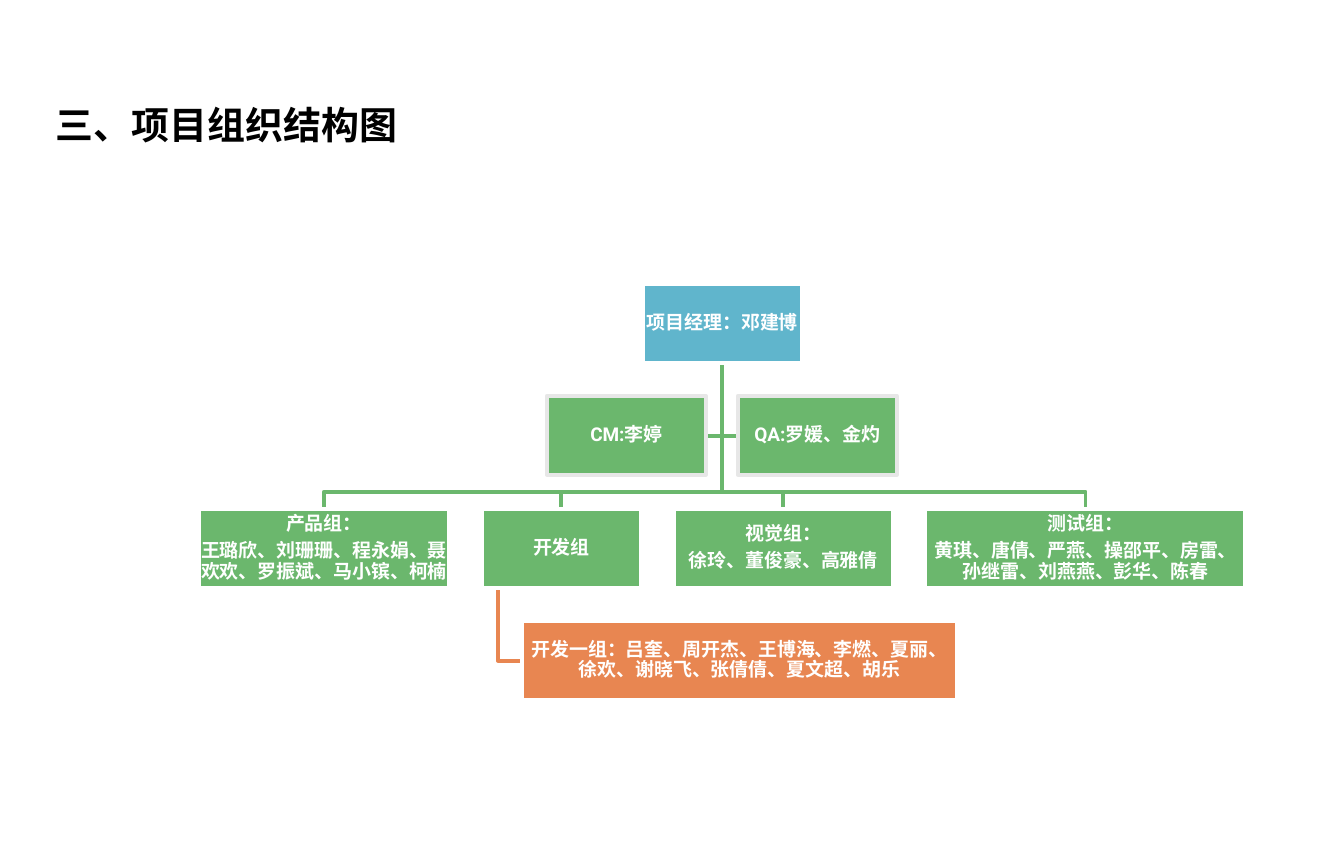
from lxml.etree import SubElement
from pptx import Presentation
from pptx.dml.color import RGBColor
from pptx.enum.shapes import MSO_SHAPE
from pptx.enum.text import MSO_ANCHOR, MSO_AUTO_SIZE, PP_ALIGN
from pptx.oxml.ns import qn
from pptx.util import Cm, Pt

PX = 6694  # EMU per px
BLUE, GREEN, ORANGE = "60B5CC", "6BB76D", "E88651"
WHITE, GREY, BLACK = "FFFFFF", "E7E7E7", "000000"
HAN_FONT = "Noto Sans CJK SC"


def paint(color_format, color):
    color_format.rgb = RGBColor.from_string(color)


def add_span(para, text, size, latin, color):
    span = para.add_run()
    span.text = text
    span.font.size, span.font.bold, span.font.name = Pt(size), True, latin
    paint(span.font.color, color)
    SubElement(span._r.get_or_add_rPr(), qn("a:ea")).set("typeface", HAN_FONT)


deck = Presentation()
deck.slide_width, deck.slide_height = Cm(25), Cm(16)
page = deck.slides.add_slide(deck.slide_layouts[5])

# Title
title = page.shapes.title
title.left, title.top, title.width, title.height = 42 * PX, 94 * PX, 1205 * PX, 61 * PX
title.text_frame.vertical_anchor = MSO_ANCHOR.MIDDLE
title.text_frame.auto_size = MSO_AUTO_SIZE.NONE
title_para = title.text_frame.paragraphs[0]
title_para.alignment = PP_ALIGN.LEFT
add_span(title_para, "三、项目组织结构图", 20, HAN_FONT, BLACK)

# Chart geometry
box_width, box_height = 159, 79
center = 722
manager_top, support_top, team_top, member_top = 284, 396, 509, 621
manager_bottom = manager_top + box_height
support_middle = support_top + 40
support_gap = 16
team_bar = team_top - 17
team_gap = 33

# Boxes: left, top, width, fill, line, paragraphs
boxes = [
    (center - box_width // 2, manager_top, box_width, BLUE, WHITE, ["项目经理：邓建博"]),
    (center - support_gap - box_width, support_top, box_width, GREEN, GREY, ["CM:李婷"]),
    (center + support_gap, support_top, box_width, GREEN, GREY, ["QA:罗媛、金灼"]),
    (522, member_top, 435, ORANGE, WHITE,
     ["开发一组：吕奎、周开杰、王博海、李燃、夏丽、徐欢、谢晓飞、张倩倩、夏文超、胡乐"]),
]
# Links: colour, corner points
links = [
    (GREEN, [(center, manager_bottom), (center, support_middle),
             (center + side * support_gap, support_middle)])
    for side in (1, -1)
]
links.append((ORANGE, [(498, team_top + box_height), (498, 661), (522, 661)]))

# Team row, laid out left to right with an equal gap
teams = [
    (250, ["产品组：", "王璐欣、刘珊珊、程永娟、聂欢欢、罗振斌、马小镔、柯楠"]),
    (box_width, ["开发组"]),
    (219, ["视觉组：", "徐玲、董俊豪、高雅倩"]),
    (320, ["测试组：", "黄琪、唐倩、严燕、操邵平、房雷、孙继雷、刘燕燕、彭华、陈春"]),
]
left = 199
for width, lines in teams:
    middle = left + width // 2
    boxes.append((left, team_top, width, GREEN, WHITE, lines))
    links.append((GREEN, [(center, manager_bottom), (center, team_bar),
                          (middle, team_bar), (middle, team_top)]))
    left += width + team_gap

# Draw the links behind the boxes
for color, points in links:
    builder = page.shapes.build_freeform(*points[0], scale=PX)
    builder.add_line_segments(points[1:], close=False)
    link = builder.convert_to_shape()
    link.shadow.inherit = False
    link.fill.background()
    paint(link.line.color, color)
    link.line.width = Pt(2)

# Draw the boxes
for left, top, width, fill, outline, lines in boxes:
    box = page.shapes.add_shape(MSO_SHAPE.RECTANGLE, left * PX, top * PX,
                                width * PX, box_height * PX)
    box.shadow.inherit = False
    box.fill.solid()
    paint(box.fill.fore_color, fill)
    paint(box.line.color, outline)
    box.line.width = Pt(2)
    frame = box.text_frame
    frame.word_wrap = True
    frame.vertical_anchor = MSO_ANCHOR.MIDDLE
    frame.margin_left = frame.margin_right = frame.margin_top = frame.margin_bottom = PX
    for index, line in enumerate(lines):
        para = frame.add_paragraph() if index else frame.paragraphs[0]
        para.alignment = PP_ALIGN.CENTER
        para.line_spacing = 0.9
        para.space_after = Pt(3.5)
        add_span(para, line, 10, "Roboto", WHITE)

deck.save("out.pptx")
